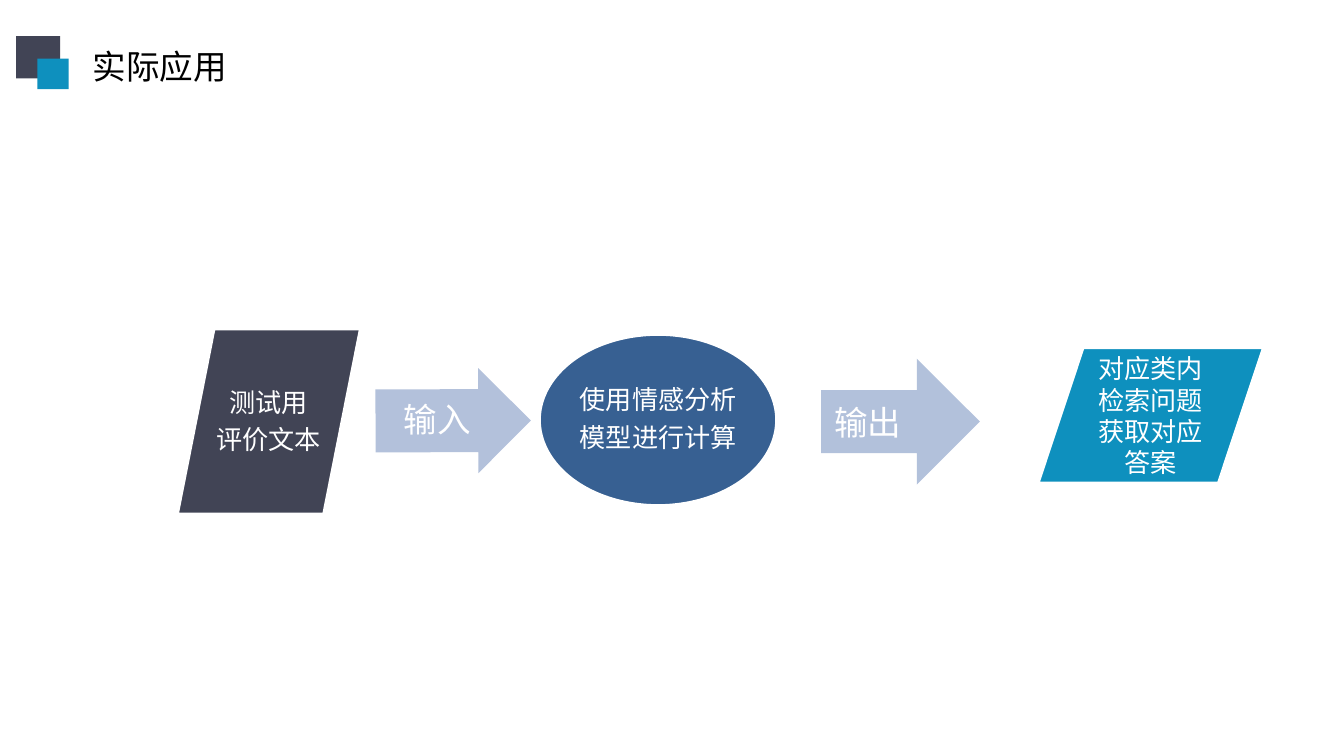
from pptx import Presentation
from pptx.dml.color import RGBColor
from pptx.enum.shapes import MSO_SHAPE
from pptx.enum.text import MSO_ANCHOR, MSO_AUTO_SIZE, PP_ALIGN
from pptx.oxml.ns import qn
from pptx.util import Pt
from lxml import etree

RECTANGLE = MSO_SHAPE.RECTANGLE
PARALLELOGRAM = MSO_SHAPE.FLOWCHART_DATA
ARROW = MSO_SHAPE.RIGHT_ARROW
OVAL = MSO_SHAPE.OVAL
LEFT, CENTER = PP_ALIGN.LEFT, PP_ALIGN.CENTER
TOP, MIDDLE = MSO_ANCHOR.TOP, MSO_ANCHOR.MIDDLE
GROW, FIXED = MSO_AUTO_SIZE.SHAPE_TO_FIT_TEXT, MSO_AUTO_SIZE.NONE
SANS, MONO = "Noto Sans CJK SC", "Courier New"
COLORS = {
    "white": "FFFFFF",
    "black": "000000",
    "slate": "414455",
    "cyan": "0E90BE",
    "blue": "376092",
    "input": "B3C1DB",
    "output": "B2C1DB",
}
LABEL_SPACING = {"line_spacing": 0.9, "space_after": Pt(5)}


def color(name):
    return RGBColor.from_string(COLORS[name])


def set_all(target, values):
    for name, value in values.items():
        setattr(target, name, value)


def place(shape, bounds):
    sides = ("left", "top", "width", "height")
    set_all(shape, {side: Pt(length) for side, length in zip(sides, bounds)})


def set_margins(frame, inset):
    sides = ("left", "right", "top", "bottom")
    set_all(frame, {f"margin_{side}": Pt(inset) for side in sides})


def write(frame, lines, size, font=SANS, ink="white", align=CENTER, spacing=None):
    for index, line in enumerate(lines):
        para = frame.add_paragraph() if index else frame.paragraphs[0]
        set_all(para, {"alignment": align, **(spacing or {})})
        span = para.add_run()
        span.text = line
        set_all(span.font, {"name": font, "size": Pt(size), "bold": False})
        span.font.color.rgb = color(ink)
        if font == SANS:
            east_asian = etree.SubElement(span.font._element, qn("a:ea"))
            east_asian.set("typeface", font)


def add_title(page, text, bounds):
    title = page.shapes.title
    place(title, bounds)
    frame = title.text_frame
    set_all(frame, {"word_wrap": False, "auto_size": GROW, "vertical_anchor": TOP})
    write(frame, [text], 18, ink="black", align=LEFT)


def add_block(shapes, kind, bounds, fill, outlined=False):
    block = shapes.add_shape(kind, *map(Pt, bounds))
    block.shadow.inherit = False
    block.fill.solid()
    block.fill.fore_color.rgb = color(fill)
    if outlined:
        block.line.color.rgb = color("white")
        block.line.width = Pt(2)
    else:
        block.line.fill.background()
    return block


def add_label(shapes, bounds, lines, size, font=SANS, inset=1.44):
    box = shapes.add_textbox(*map(Pt, bounds))
    frame = box.text_frame
    set_all(frame, {"word_wrap": True, "auto_size": FIXED, "vertical_anchor": MIDDLE})
    set_margins(frame, inset)
    write(frame, lines, size, font, spacing=LABEL_SPACING)
    return box


def add_logo_squares(page):
    squares = page.shapes.add_group_shape().shapes
    add_block(squares, RECTANGLE, (8.6, 19.3, 23.6, 22.7), "slate")
    add_block(squares, RECTANGLE, (20, 31.4, 16.8, 16.4), "cyan")


def add_input_flow(page):
    flow = page.shapes.add_group_shape().shapes
    add_block(flow, PARALLELOGRAM, (94.8, 176, 98.6, 99.6), "slate", True)
    add_label(flow, (113.8, 176, 60.5, 100.8), ["测试用", "评价文本"], 14, MONO)

    arrow = add_block(flow, ARROW, (201.2, 197.3, 83.2, 56.2), "input")
    arrow.adjustments[0] = 0.6
    caption = add_label(flow, (201.2, 208.8, 66.2, 33.8), ["输入"], 18, inset=0)
    for shape in (arrow, caption):
        shape.rotation = 359.8

    add_block(flow, OVAL, (288.7, 178.9, 127.6, 92.2), "blue", True)
    add_label(flow, (307.4, 192.2, 90.7, 65.5), ["使用情感分析", "模型进行计算"], 14)


def add_output_flow(page):
    steps = [
        (ARROW, (439.9, 192.2, 85, 67.4), "output", False, "输出", 18, SANS, LEFT),
        (PARALLELOGRAM, (555.8, 186, 121.4, 73), "cyan", True,
         "对应类内检索问题获取对应答案", 14, MONO, CENTER),
    ]
    for kind, bounds, fill, outlined, text, size, font, align in steps:
        block = add_block(page.shapes, kind, bounds, fill, outlined)
        set_all(block.text_frame, {"word_wrap": True, "vertical_anchor": MIDDLE})
        write(block.text_frame, [text], size, font, align=align)


def main():
    deck = Presentation()
    set_all(deck, {"slide_width": Pt(720), "slide_height": Pt(405)})
    page = deck.slides.add_slide(deck.slide_layouts[5])
    add_title(page, "实际应用", (42.5, 20.9, 87.1, 28.8))
    add_logo_squares(page)
    add_input_flow(page)
    add_output_flow(page)
    deck.save("out.pptx")


main()
